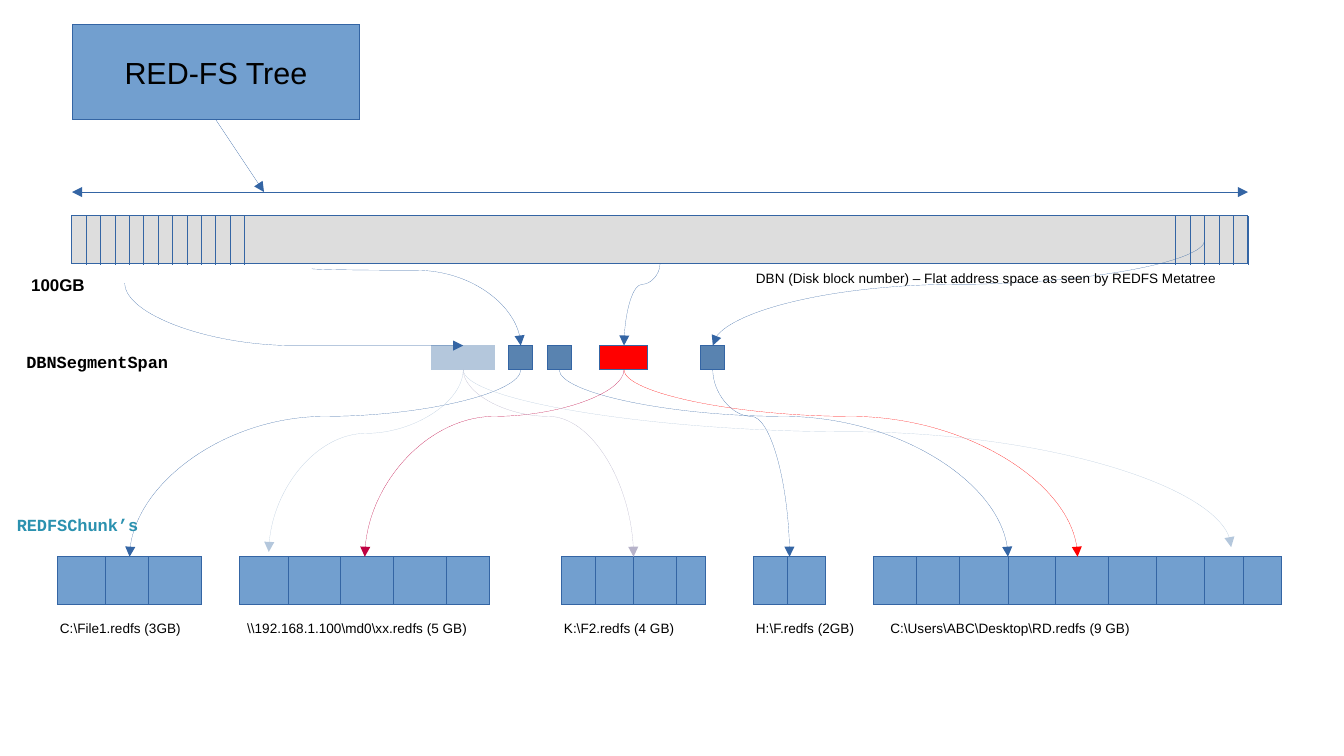
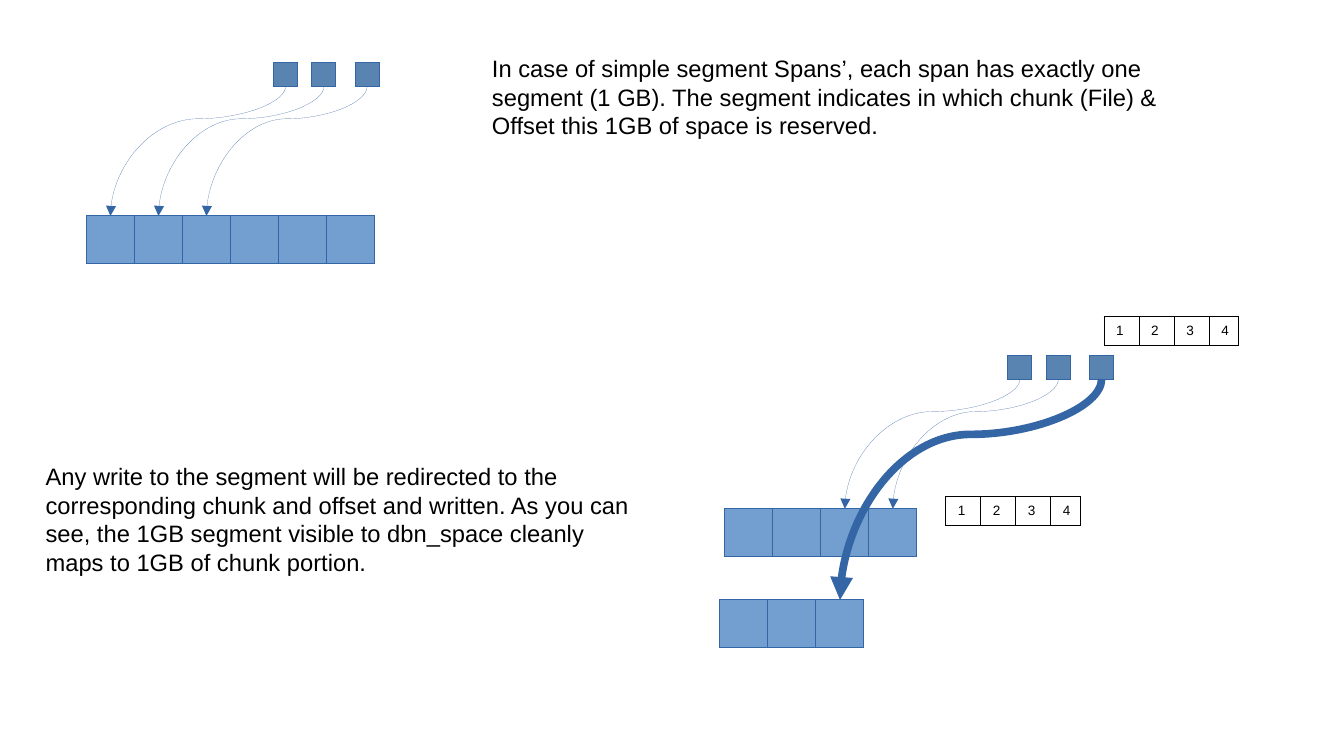
from dataclasses import dataclass
from pptx import Presentation
from pptx.dml.color import RGBColor as Rgb
from pptx.enum.shapes import MSO_CONNECTOR as Con, MSO_SHAPE as Geo
from pptx.enum.text import MSO_ANCHOR as Anchor, MSO_AUTO_SIZE as Fit, PP_ALIGN as Align
from pptx.oxml.ns import qn
from pptx.oxml.xmlchemy import OxmlElement as Elem
from pptx.util import Cm, Pt


@dataclass(frozen=True)
class Theme:
    edge: str = "3465A4"
    block: str = "729FCF"
    chip: str = "5983B0"
    pale: str = "B4C7DC"
    mauve: str = "B7B3CA"
    red: str = "FF0000"
    wine: str = "BF0041"
    gray: str = "DDDDDD"
    teal: str = "2B91AF"
    ink: str = "000000"
    sans: str = "Arial"
    mono: str = "Courier New"
    small: int = 8
    label: int = 10
    body: int = 14
    head: int = 18
    hair: float = 0.01
    grid: float = 0.57
    bold: float = 4.5


look = Theme()


def box(page, x, y, w, h, fill, edge=look.edge):
    rect = page.shapes.add_shape(Geo.RECTANGLE, Cm(x), Cm(y), Cm(w), Cm(h))
    rect.shadow.inherit = False
    rect.fill.solid()
    rect.fill.fore_color.rgb = Rgb.from_string(fill)
    rect.line.color.rgb = Rgb.from_string(edge)
    rect.line.width = Pt(look.hair)


def link(page, start, end, color=look.edge, bend=None, ends=("tailEnd",), width=look.hair):
    (x1, y1), (x2, y2) = start, end
    kind = Con.STRAIGHT
    if bend is not None:
        kind = Con.CURVE
        mid_x, mid_y = (x1 + x2) / 2, (y1 + y2) / 2
        half_w, half_h = (y2 - y1) / 2, abs(x2 - x1) / 2
        turn = 270 if x2 > x1 else 90
        side = -1 if x2 > x1 else 1
        x1, x2 = mid_x - side * half_w, mid_x + side * half_w
        y1, y2 = mid_y - half_h, mid_y + half_h
    line = page.shapes.add_connector(kind, Cm(x1), Cm(y1), Cm(x2), Cm(y2))
    line.line.color.rgb = Rgb.from_string(color)
    line.line.width = Pt(width)
    props = line._element.spPr
    if bend is not None:
        props.find(qn("a:xfrm")).set("rot", str(turn * 60000))
        guide = Elem("a:gd")
        guide.set("name", "adj1")
        guide.set("fmla", f"val {round(bend * 100000)}")
        props.find(qn("a:prstGeom")).find(qn("a:avLst")).append(guide)
    for end in ends:
        tip = Elem(f"a:{end}")
        tip.set("type", "triangle")
        props.find(qn("a:ln")).append(tip)
    props.append(Elem("a:effectLst"))


deck = Presentation()
deck.slide_width, deck.slide_height = Cm(28), Cm(15.75)
tree = deck.slides.add_slide(deck.slide_layouts[5])
spans = deck.slides.add_slide(deck.slide_layouts[6])

title = tree.shapes.title
title.left, title.top, title.width, title.height = Cm(1.5), Cm(0.5), Cm(6), Cm(2)
title.fill.solid()
title.fill.fore_color.rgb = Rgb.from_string(look.block)
title.line.color.rgb = Rgb.from_string(look.edge)
title.line.width = Pt(look.hair)
frame = title.text_frame
frame.auto_size = Fit.NONE
frame.vertical_anchor = Anchor.MIDDLE
para = frame.paragraphs[0]
para.alignment = Align.CENTER
run = para.add_run()
run.text = "RED-FS Tree"
run.font.name, run.font.size = look.sans, Pt(look.head)
run.font.color.rgb = Rgb.from_string(look.ink)

box(tree, 1.5, 4.5, 24.5, 1, look.gray)
for first, count in ((1.8, 12), (24.5, 6)):
    for i in range(count):
        x = first + 0.3 * i
        link(tree, (x, 4.5), (x, 5.5), ends=())

chunks = (
    (1.2, 3, (2.2, 3.1)),
    (5, 5.2, (6, 7.1, 8.2, 9.3)),
    (11.7, 3, (12.4, 13.2, 14.1)),
    (15.7, 1.5, (16.4,)),
    (18.2, 8.5, (19.1, 20, 21, 22, 23.1, 24.1, 25.1, 25.9)),
)
for x, w, cuts in chunks:
    box(tree, x, 11.6, w, 1, look.block)
    for cut in cuts:
        link(tree, (cut, 11.6), (cut, 12.6), ends=())

for x in (10.6, 11.4, 14.6):
    box(tree, x, 7.2, 0.5, 0.5, look.chip)
box(tree, 12.5, 7.2, 1, 0.5, look.red)
box(tree, 9, 7.2, 1.3, 0.5, look.pale, look.pale)

maps = (
    (10.85, 2.7, 11.6, look.edge, 0.25),
    (11.65, 21, 11.6, look.edge, 0.25),
    (13, 7.6, 11.6, look.wine, 0.25),
    (14.85, 16.45, 11.6, look.edge, 0.25),
    (13, 22.45, 11.6, look.red, 0.25),
    (9.65, 5.6, 11.5, look.pale, 0.35),
    (9.65, 13.2, 11.6, look.mauve, 0.25),
    (9.65, 25.65, 11.4, look.pale, 0.35),
)
for x1, x2, y2, color, bend in maps:
    link(tree, (x1, 7.7), (x2, y2), color, bend)

link(tree, (1.5, 4), (26, 4), ends=("headEnd", "tailEnd"))
link(tree, (4.5, 2.5), (5.5, 4))
feeds = (
    (2.6, 5.9, 9.65, 1),
    (6.5, 5.6, 10.85, 0.02),
    (25.1, 5, 14.85, 0.42),
    (13.75, 5.5, 13, 0.25),
)
for x1, y1, x2, bend in feeds:
    link(tree, (x1, y1), (x2, 7.2), bend=bend)

for x, y, count in ((1.8, 4.5, 6), (15.1, 10.6, 4), (15, 12.5, 3)):
    for i in range(count):
        box(spans, x + i, y, 1, 1, look.block)

groups = (
    (5.7, 1.3, ((2.3, 4.5), (3.3, 4.5), (4.3, 4.5))),
    (21, 7.4, ((17.6, 10.6), (18.6, 10.6), (17.5, 12.5))),
)
for x, y, goals in groups:
    for step, goal in zip((0, 0.8, 1.7), goals):
        box(spans, x + step, y, 0.5, 0.5, look.chip)
        width = look.bold if goal[1] == 12.5 else look.hair
        link(spans, (x + step + 0.25, y + 0.5), goal, bend=0.25, width=width)

sizes = (0.73, 0.73, 0.73, 0.62)
for x, y in ((19.7, 10.35), (23, 6.6)):
    grid = spans.shapes.add_table(1, 4, Cm(x), Cm(y), Cm(sum(sizes)), Cm(0.6)).table
    grid.first_row = grid.horz_banding = False
    for i, size in enumerate(sizes):
        grid.columns[i].width = Cm(size)
        cell = grid.cell(0, i)
        run = cell.text_frame.paragraphs[0].add_run()
        run.text = str(i + 1)
        run.font.name, run.font.size = look.sans, Pt(look.small)
        run.font.color.rgb = Rgb.from_string(look.ink)
        props = cell._tc.get_or_add_tcPr()
        for side in "LRTB":
            rule = Elem(f"a:ln{side}")
            rule.set("w", str(Pt(look.grid)))
            fill, ink = Elem("a:solidFill"), Elem("a:srgbClr")
            ink.set("val", look.ink)
            fill.append(ink)
            rule.append(fill)
            props.append(rule)
        cell.fill.background()

small = (look.small, look.sans, look.ink, False)
code = (look.label, look.mono, look.ink, True)
body = (look.body, look.sans, look.ink, False)
notes = (
    (tree, 15.5, 5.5, 10.5, 0.56, small,
     "DBN (Disk block number) – Flat address space as seen by REDFS Metatree"),
    (tree, 1, 12.8, 3.5, 0.56, small, "C:\\File1.redfs (3GB)"),
    (tree, 4.9, 12.8, 5.6, 0.56, small, "\\\\192.168.1.100\\md0\\xx.redfs (5 GB)"),
    (tree, 11.5, 12.8, 3.5, 0.56, small, "K:\\F2.redfs (4 GB)"),
    (tree, 15.5, 12.8, 2.7, 0.56, small, "H:\\F.redfs (2GB)"),
    (tree, 18.3, 12.8, 5.7, 0.56, small, "C:\\Users\\ABC\\Desktop\\RD.redfs (9 GB)"),
    (tree, 0.4, 5.6, 2, 0.64, (look.label, look.sans, look.ink, True), "100GB"),
    (tree, 0.3, 7.2, 3.7, 0.64, code, "DBNSegmentSpan"),
    (tree, 0.1, 10.6, 3.3, 0.64, (look.label, look.mono, look.teal, True), "REDFSChunk’s"),
    (spans, 10, 1, 15.5, 1.9, body,
     "In case of simple segment Spans’, each span has exactly one segment (1 GB). "
     "The segment indicates in which chunk (File) & Offset this 1GB of space is reserved."),
    (spans, 0.7, 9.5, 12.8, 2.46, body,
     "Any write to the segment will be redirected to the corresponding chunk and offset "
     "and written. As you can see, the 1GB segment visible to dbn_space cleanly maps "
     "to 1GB of chunk portion."),
)
for page, x, y, w, h, (size, font, color, bold), words in notes:
    frame = page.shapes.add_textbox(Cm(x), Cm(y), Cm(w), Cm(h)).text_frame
    frame.word_wrap = True
    run = frame.paragraphs[0].add_run()
    run.text = words
    run.font.name, run.font.size, run.font.bold = font, Pt(size), bold
    run.font.color.rgb = Rgb.from_string(color)

deck.save("out.pptx")
